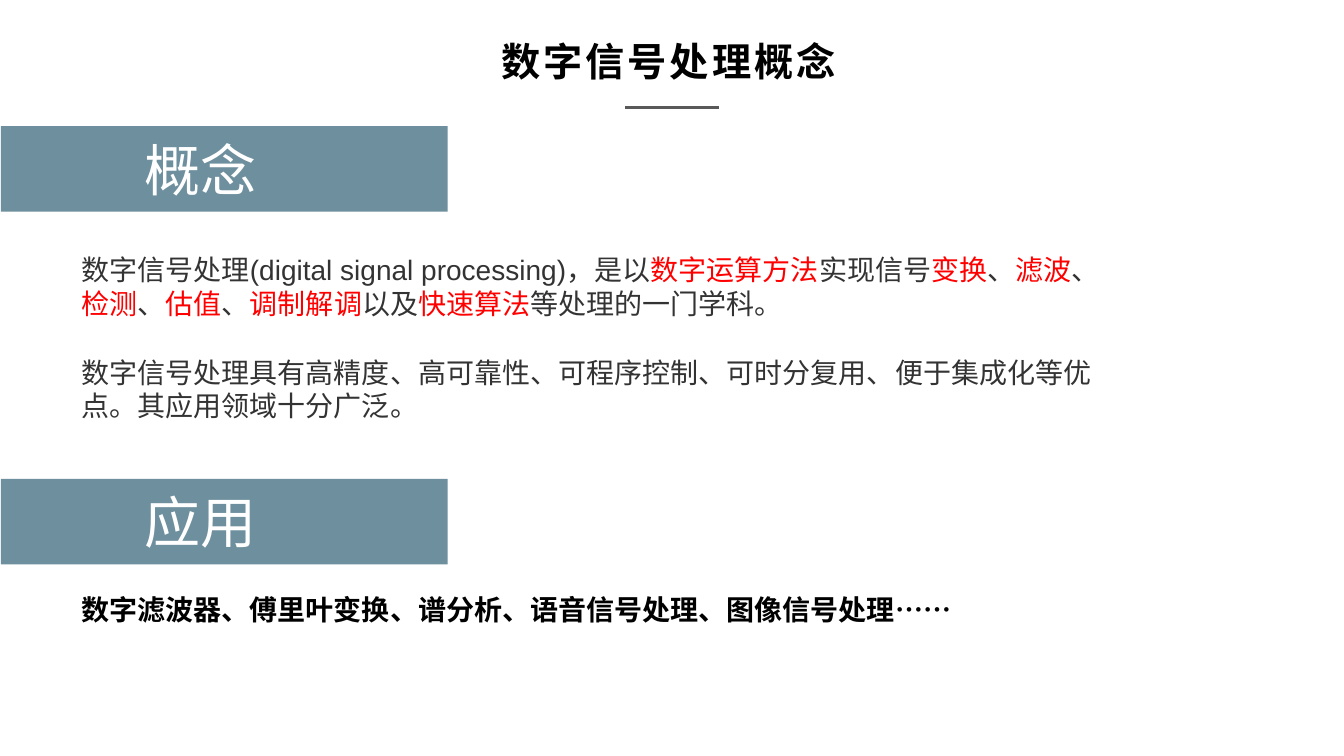
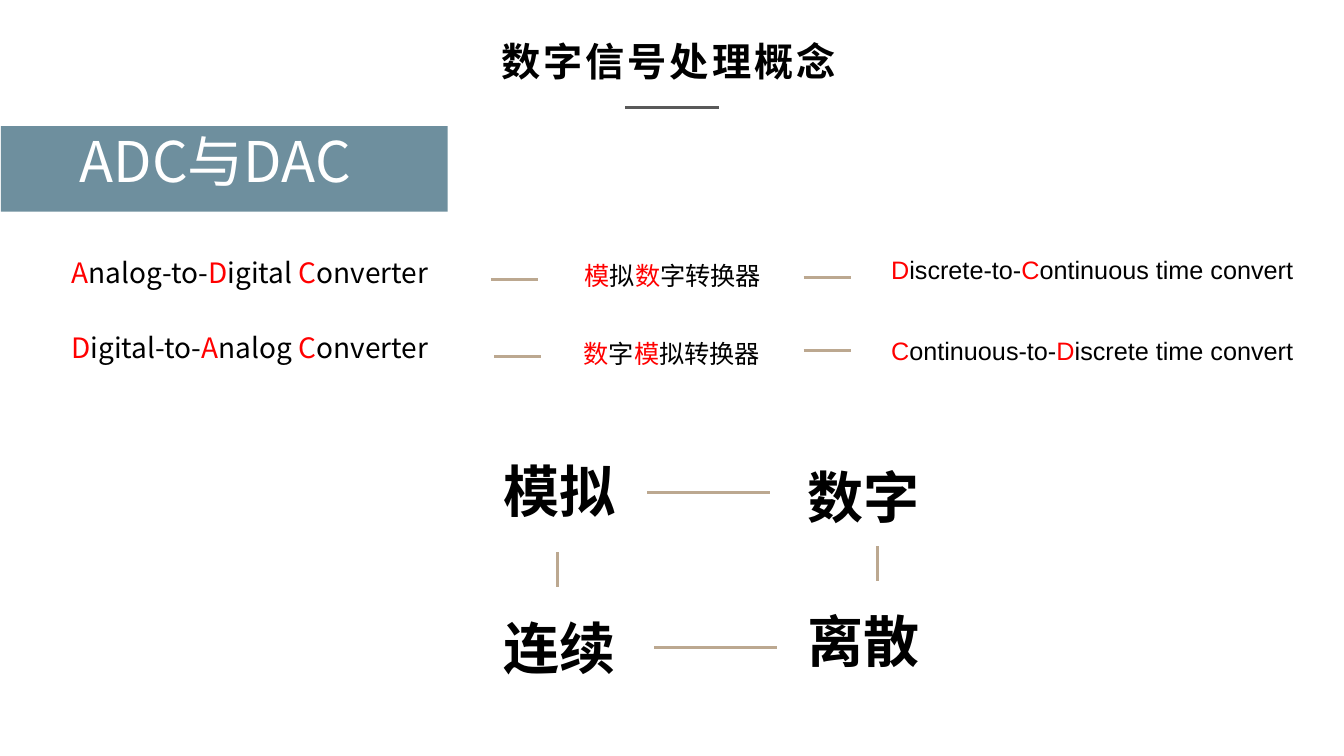
from lxml.etree import SubElement
from pptx import Presentation
from pptx.dml.color import RGBColor
from pptx.enum.lang import MSO_LANGUAGE_ID
from pptx.enum.shapes import MSO_CONNECTOR, MSO_SHAPE
from pptx.enum.text import MSO_ANCHOR, PP_ALIGN
from pptx.oxml.ns import qn
from pptx.util import Emu, Pt

PX = 9144
SANS = "Arial"
CJK = "Noto Sans CJK SC"
BLACK = RGBColor(0x00, 0x00, 0x00)
WHITE = RGBColor(0xFF, 0xFF, 0xFF)
BODY = RGBColor(0x33, 0x33, 0x33)
RED = RGBColor(0xFF, 0x00, 0x00)
SLATE = RGBColor(0x6E, 0x8F, 0x9E)
RULE = RGBColor(0x59, 0x59, 0x59)
TAN = RGBColor(0xBC, 0xA8, 0x90)

TITLE = "数字信号处理概念"
DEFINITION = (
    "数字信号处理(digital signal processing)，是以*数字运算方法*实现信号*变换*、*滤波*、"
    "*检测*、*估值*、*调制解调*以及*快速算法*等处理的一门学科。"
)
ADVANTAGES = "数字信号处理具有高精度、高可靠性、可程序控制、可时分复用、便于集成化等优点。其应用领域十分广泛。"
APPLICATIONS = "数字滤波器、傅里叶变换、谱分析、语音信号处理、图像信号处理……"


def px(*lengths):
    return [Emu(length * PX) for length in lengths]


def write(paragraph, text, size, color=BLACK, font=SANS, bold=False, tracking=0):
    """Fill a paragraph; text between asterisks turns red."""
    paragraph.alignment = PP_ALIGN.LEFT
    paragraph.font.name = font
    paragraph.font.size = Pt(size)
    paragraph.font.bold = bold
    paragraph.font.color.rgb = color
    for index, part in enumerate(text.split("*")):
        if not part:
            continue
        run = paragraph.add_run()
        run.text = part
        run.font.language_id = MSO_LANGUAGE_ID.SIMPLIFIED_CHINESE
        if index % 2:
            run.font.color.rgb = RED
        properties = run._r.get_or_add_rPr()
        if tracking:
            properties.set("spc", str(tracking))
        SubElement(properties, qn("a:ea"), typeface=CJK)


def add_text(slide, box, texts, size, gap=0, **style):
    frame = slide.shapes.add_textbox(*px(*box)).text_frame
    frame.word_wrap = True
    for index, text in enumerate(texts):
        paragraph = frame.add_paragraph() if index else frame.paragraphs[0]
        if index:
            paragraph.space_before = Pt(gap)
        write(paragraph, text, size, **style)
    return frame


def add_line(slide, left, top, width=0, height=0, color=TAN):
    ends = px(left, top, left + width, top + height)
    connector = slide.shapes.add_connector(MSO_CONNECTOR.STRAIGHT, *ends)
    connector.line.color.rgb = color
    connector.line.width = Pt(2.25)
    SubElement(connector._element.spPr, qn("a:effectLst"))


def add_band(slide, top, text, indent, text_top):
    band = slide.shapes.add_shape(MSO_SHAPE.RECTANGLE, *px(1, top, 443, 85))
    band.shadow.inherit = False
    band.fill.solid()
    band.fill.fore_color.rgb = SLATE
    band.line.fill.background()
    frame = band.text_frame
    frame.vertical_anchor = MSO_ANCHOR.TOP
    frame.margin_left, frame.margin_top = px(indent, text_top)
    frame.margin_right = frame.margin_bottom = 0
    write(frame.paragraphs[0], text, 40, color=WHITE, font=CJK)


def add_titled_slide(presentation):
    slide = presentation.slides.add_slide(presentation.slide_layouts[6])
    add_line(slide, 620, 107, width=93, color=RULE)
    frame = add_text(slide, (490, 33, 354, 55), [TITLE], 28, bold=True, tracking=220)
    frame.margin_left, frame.margin_top, frame.margin_right, frame.margin_bottom = px(7, 4, 7, 4)
    return slide


def build_concept(presentation):
    slide = add_titled_slide(presentation)
    add_band(slide, 125, "概念", indent=142, text_top=9)
    add_text(slide, (71, 246, 1025, 178), [DEFINITION, ADVANTAGES], 20, gap=25, color=BODY)
    add_band(slide, 475, "应用", indent=142, text_top=9)
    add_text(slide, (71, 583, 1025, 44), [APPLICATIONS], 20, bold=True)


def build_converters(presentation):
    slide = add_titled_slide(presentation)
    add_band(slide, 125, "ADC与DAC", indent=78, text_top=1)

    for top, text in (
        (249, "*A*nalog-to-*D*igital *C*onverter"),
        (323, "*D*igital-to-*A*nalog *C*onverter"),
    ):
        add_text(slide, (61, top, 399, 44), [text], 20, font=CJK)
    for left, top, width, text in (
        (570, 253, 195, "*模*拟*数*字转换器"),
        (569, 331, 195, "*数*字*模*拟转换器"),
        (874, 247, 450, "*D*iscrete-to-*C*ontinuous time convert"),
        (874, 328, 450, "*C*ontinuous-to-*D*iscrete time convert"),
    ):
        add_text(slide, (left, top, width, 40), [text], 18)
    for left, top in ((487, 277), (490, 354), (797, 275), (797, 348)):
        add_line(slide, left, top, width=47)

    for left, top, text in (
        (490, 448, "模拟"),
        (490, 604, "连续"),
        (791, 597, "离散"),
        (791, 454, "数字"),
    ):
        add_text(slide, (left, top, 153, 77), [text], 40, bold=True)
    for left, top in ((642, 489), (649, 642)):
        add_line(slide, left, top, width=122)
    for left, top in ((553, 548), (870, 542)):
        add_line(slide, left, top, height=34)


def main():
    presentation = Presentation()
    presentation.slide_width, presentation.slide_height = px(1333, 750)
    build_concept(presentation)
    build_converters(presentation)
    presentation.save("out.pptx")


if __name__ == "__main__":
    main()
